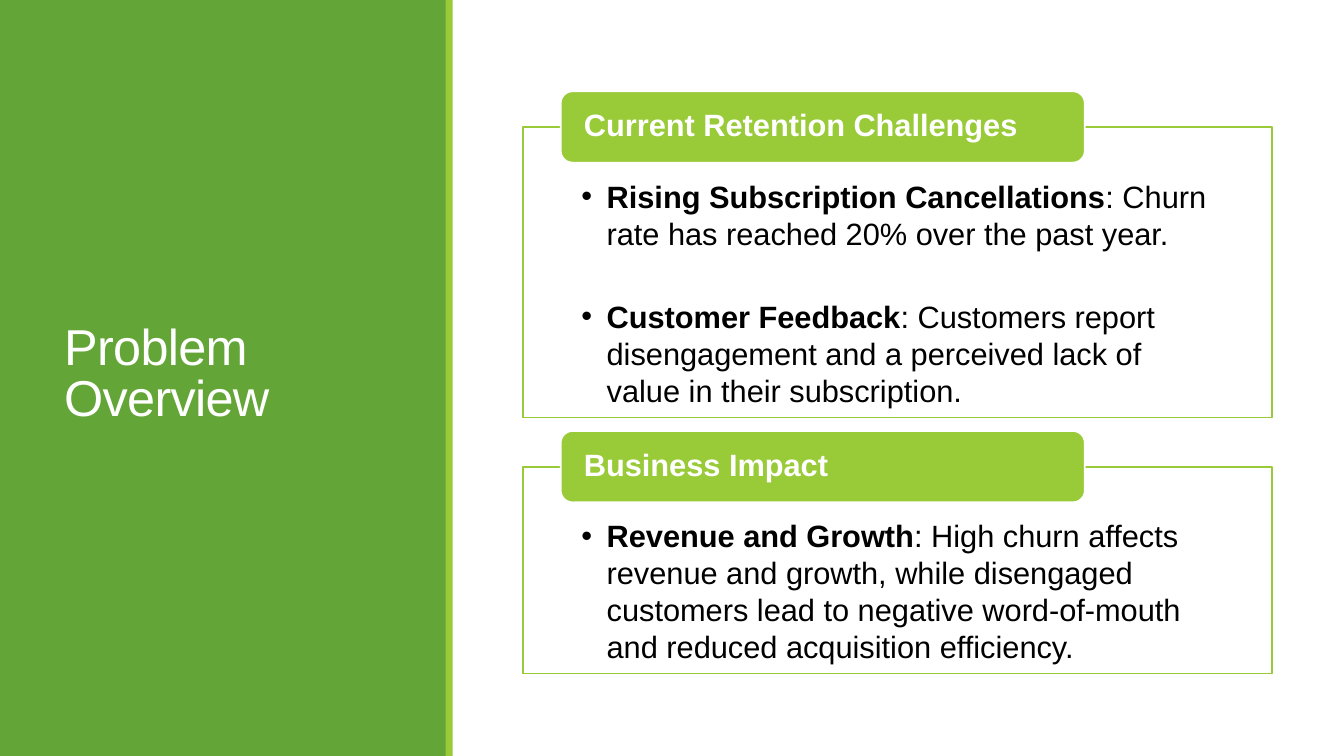
from dataclasses import dataclass

from lxml.etree import SubElement
from pptx import Presentation
from pptx.dml.color import RGBColor
from pptx.enum.shapes import MSO_SHAPE as Preset
from pptx.enum.text import MSO_ANCHOR as Anchor, PP_ALIGN as Align
from pptx.oxml.ns import qn
from pptx.util import Cm, Pt


@dataclass(frozen=True)
class Theme:
    font: str = "Arial"
    green: RGBColor = RGBColor(0x63, 0xA5, 0x37)
    lime: RGBColor = RGBColor(0x99, 0xCB, 0x38)
    white: RGBColor = RGBColor(0xFF, 0xFF, 0xFF)
    black: RGBColor = RGBColor(0x00, 0x00, 0x00)
    title_size: Pt = Pt(36)
    body_size: Pt = Pt(22)
    outline: Pt = Pt(1.25)
    point_gap: Pt = Pt(33)


THEME = Theme()
SLIDE_WIDTH, SLIDE_HEIGHT = 33.87, 19.05
FRAME_LEFT, FRAME_WIDTH = 13.18, 18.87
TAB_LEFT, TAB_WIDTH, TAB_HEIGHT = 14.13, 13.21, 1.8

SECTIONS = [
    ("Current Retention Challenges", 3.2, 7.32, [
        ("Rising Subscription Cancellations",
         ": Churn rate has reached 20% over the past year."),
        ("Customer Feedback",
         ": Customers report disengagement and a perceived lack of value in their subscription."),
    ]),
    ("Business Impact", 11.76, 5.21, [
        ("Revenue and Growth",
         ": High churn affects revenue and growth, while disengaged customers lead to "
         "negative word-of-mouth and reduced acquisition efficiency."),
    ]),
]


def add_block(slide, preset, box, fill, outline=None):
    block = slide.shapes.add_shape(preset, *map(Cm, box))
    block.shadow.inherit = False
    block.fill.solid()
    block.fill.fore_color.rgb = fill
    if outline is None:
        block.line.fill.background()
    else:
        block.line.color.rgb = outline
        block.line.width = THEME.outline
    return block


def set_frame(holder, anchor, left, top, right, bottom):
    frame = holder.text_frame
    frame.word_wrap = True
    frame.vertical_anchor = anchor
    frame.margin_left, frame.margin_top = Cm(left), Cm(top)
    frame.margin_right, frame.margin_bottom = Cm(right), Cm(bottom)
    return frame


def set_font(paragraph, size, color, bold=False):
    paragraph.alignment = Align.LEFT
    font = paragraph.font
    font.name, font.size, font.bold = THEME.font, size, bold
    font.color.rgb = color


def add_bullet(paragraph):
    properties = paragraph._p.get_or_add_pPr()
    properties.set("marL", str(Cm(0.64)))
    properties.set("indent", str(Cm(-0.64)))
    SubElement(properties, qn("a:buFont")).set("typeface", THEME.font)
    SubElement(properties, qn("a:buChar")).set("char", "•")


def add_title(slide, wording):
    title = slide.shapes.add_textbox(Cm(1.37), Cm(1.45), Cm(8.56), Cm(16.03))
    paragraph = set_frame(title, Anchor.MIDDLE, 0.25, 0.13, 0.25, 0.13).paragraphs[0]
    run = paragraph.add_run()
    run.text = wording
    run.font._element.set("spc", "-50")
    paragraph.line_spacing = 0.85
    set_font(paragraph, THEME.title_size, THEME.white)


def add_points(card, points):
    frame = set_frame(card, Anchor.TOP, 1.47, 1.27, 1.47, 0.43)
    for index, (lead, detail) in enumerate(points):
        paragraph = frame.add_paragraph() if index else frame.paragraphs[0]
        add_bullet(paragraph)
        if index:
            paragraph.space_before = THEME.point_gap
        set_font(paragraph, THEME.body_size, THEME.black)
        for wording, bold in ((lead, True), (detail, False)):
            run = paragraph.add_run()
            run.text = wording
            run.font.bold = bold


def add_section(slide, heading, top, height, points):
    card = add_block(slide, Preset.RECTANGLE, (FRAME_LEFT, top, FRAME_WIDTH, height),
                     THEME.white, THEME.lime)
    add_points(card, points)
    tab = add_block(slide, Preset.ROUNDED_RECTANGLE,
                    (TAB_LEFT, top - TAB_HEIGHT / 2, TAB_WIDTH, TAB_HEIGHT),
                    THEME.lime, THEME.white)
    paragraph = set_frame(tab, Anchor.MIDDLE, 0.5, 0, 0.5, 0).paragraphs[0]
    paragraph.add_run().text = heading
    paragraph.line_spacing = 0.9
    set_font(paragraph, THEME.body_size, THEME.white, bold=True)


def main():
    deck = Presentation()
    deck.slide_width, deck.slide_height = Cm(SLIDE_WIDTH), Cm(SLIDE_HEIGHT)
    slide = deck.slides.add_slide(deck.slide_layouts[6])
    add_block(slide, Preset.RECTANGLE, (0, 0, 11.25, SLIDE_HEIGHT), THEME.green)
    add_title(slide, "Problem Overview")
    add_block(slide, Preset.RECTANGLE, (11.23, 0, 0.18, SLIDE_HEIGHT), THEME.lime)
    for section in SECTIONS:
        add_section(slide, *section)
    deck.save("out.pptx")


if __name__ == "__main__":
    main()
